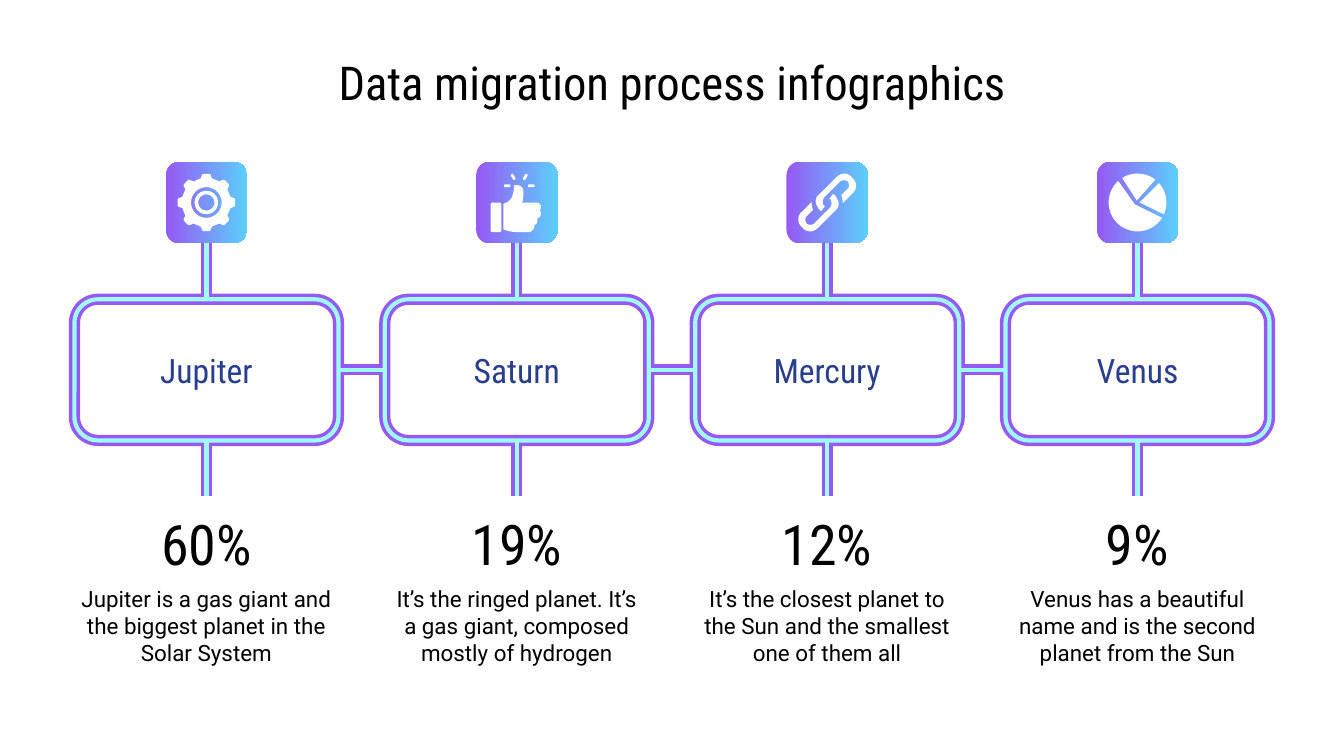
from math import cos, radians, sin

from lxml import etree
from pptx import Presentation
from pptx.dml.color import RGBColor
from pptx.enum.shapes import MSO_CONNECTOR, MSO_SHAPE
from pptx.enum.text import MSO_ANCHOR, PP_ALIGN
from pptx.oxml.ns import qn
from pptx.util import Inches, Pt

ROUNDED, STRAIGHT = MSO_SHAPE.ROUNDED_RECTANGLE, MSO_CONNECTOR.STRAIGHT
TOP, MIDDLE, CENTER = MSO_ANCHOR.TOP, MSO_ANCHOR.MIDDLE, PP_ALIGN.CENTER

COLUMNS, ROWS = 100, 56.25
WHITE, BLACK, NAVY = "FFFFFF", "000000", "293E8D"
PURPLE, MINT, SKY = "9659F4", "A0FDF1", "5CCFFB"
OUTER, INNER = TRACKS = ((PURPLE, 6), (MINT, 2.25))
HEADING, BODY = "Roboto Condensed", "Roboto"

STEPS = (
    ("Jupiter", "60%", "Jupiter is a gas giant and the biggest planet in the Solar System"),
    ("Saturn", "19%", "It’s the ringed planet. It’s a gas giant, composed mostly of hydrogen"),
    ("Mercury", "12%", "It’s the closest planet to the Sun and the smallest one of them all"),
    ("Venus", "9%", "Venus has a beautiful name and is the second planet from the Sun"),
)
FIRST, LAST = 15.36, 84.64
PITCH = (LAST - FIRST) / (len(STEPS) - 1)
CENTERS = [FIRST + i * PITCH for i in range(len(STEPS))]
BOX_W, BOX_TOP, BOX_H = 19.64, 22.27, 10.5
TILE, TILE_TOP = 6.06, 12.04
TILE_MID, TILE_END = TILE_TOP + TILE / 2, TILE_TOP + TILE
BOX_MID, BOX_END, STEM_END = BOX_TOP + BOX_H / 2, BOX_TOP + BOX_H, 36.94

# Icon outlines in tenths of a cell from the tile centre:
# a pair is a corner, six numbers are a cubic curve.
THUMB = (
    (-1, -13), (-2, -13, -2, -12, -2, -12), (-2, -9, -3, -4, -5, -2),
    (-7, 0, -8, 0, -10, 1), (-10, 20), (-7, 21, -4, 22, 1, 22), (9, 22),
    (11, 22, 14, 19, 13, 17), (15, 16, 16, 14, 15, 12), (18, 11, 19, 8, 17, 6),
    (18, 5, 18, 4, 18, 3), (18, 1, 16, 0, 14, 0), (4, 0),
    (5, -2, 5, -6, 5, -8), (5, -11, 3, -13, 0, -13),
)
LINK = (
    (4.5, -6.5), (1.5, -2.5), (2.5, -2.5), (3.5, -0.5, 3.5, 1.5, 2.5, 3.5),
    (-9.5, 15.5), (-10.5, 16.5, -11.5, 16.5, -12.5, 16.5),
    (-13.5, 16.5, -14.5, 16.5, -15.5, 15.5), (-16.5, 13.5, -16.5, 11.5, -15.5, 10.5),
    (-10.5, 5.5), (-11.5, 3.5, -11.5, 1.5, -11.5, -0.5), (-18.5, 6.5),
    (-22.5, 9.5, -22.5, 15.5, -18.5, 18.5), (-17.5, 20.5, -14.5, 21.5, -12.5, 21.5),
    (-10.5, 21.5, -8.5, 20.5, -6.5, 18.5), (5.5, 6.5),
    (8.5, 4.5, 9.5, 0.5, 7.5, -2.5), (6.5, -4.5),
)
TOOTH = ((-13, 18.4), (-9, 20.8), (-6, 21.5), (6, 21.5), (9, 20.8), (13, 18.4))
SLICES = ((-2, 1.5, 32, 228), (-0.5, -1.5, 238, 308), (1.5, 0, 318, 384))


def rgb(value):
    return RGBColor.from_string(value)


def polar(angle, radius):
    return radius * cos(radians(angle)), radius * sin(radians(angle))


def arc(radius, start=0, end=360):
    steps = 40
    return [polar(start + (end - start) * i / steps, radius) for i in range(steps + 1)]


def flatten(path, steps=8):
    """Turn corners and cubic curves into a plain list of points."""
    points = []
    for part in path:
        if len(part) == 2:
            points.append(part)
            continue
        curve = (points[-1], part[:2], part[2:4], part[4:])
        for i in range(1, steps + 1):
            t = i / steps
            weights = ((1 - t) ** 3, 3 * t * (1 - t) ** 2, 3 * t * t * (1 - t), t ** 3)
            points.append(tuple(sum(w * p[axis] for w, p in zip(weights, curve))
                                for axis in (0, 1)))
    return points


class Board:
    """Draws on one slide; lengths are cells of a COLUMNS by ROWS grid."""

    def __init__(self, prs):
        self.slide = prs.slides.add_slide(prs.slide_layouts[6])
        self.shapes = self.slide.shapes
        self.cell_w = prs.slide_width / COLUMNS
        self.cell_h = prs.slide_height / ROWS

    def at(self, x, y):
        return round(x * self.cell_w), round(y * self.cell_h)

    def paint(self, s, fill=None, line=None):
        s.shadow.inherit = False
        if fill:
            s.fill.solid()
            s.fill.fore_color.rgb = rgb(fill)
        else:
            s.fill.background()
        if line:
            s.line.color.rgb, s.line.width = rgb(line[0]), Pt(line[1])
        else:
            s.line.fill.background()

    def rounded(self, cx, y, w, h, fill=None, line=None):
        s = self.shapes.add_shape(ROUNDED, *self.at(cx - w / 2, y), *self.at(w, h))
        self.paint(s, fill, line)
        return s

    def tile(self, cx):
        s = self.rounded(cx, TILE_TOP, TILE, TILE)
        s.fill.gradient()
        s.fill.gradient_angle = 0
        for stop, color in zip(s.fill.gradient_stops, (PURPLE, SKY)):
            stop.color.rgb = rgb(color)

    def track(self, start, end, color, width):
        s = self.shapes.add_connector(STRAIGHT, *self.at(*start), *self.at(*end))
        s.line.color.rgb, s.line.width = rgb(color), Pt(width)
        etree.SubElement(s._element.spPr, qn("a:effectLst"))

    def tracks(self, style):
        """Draw every stem and every link between boxes in one line style."""
        for cx in CENTERS:
            for top, end in ((TILE_END, BOX_TOP), (BOX_END, STEM_END)):
                self.track((cx, top), (cx, end), *style)
        for left, right in zip(CENTERS, CENTERS[1:]):
            self.track((right - BOX_W / 2, BOX_MID), (left + BOX_W / 2, BOX_MID), *style)

    def text(self, text, cx, y, w, h, size, font=HEADING, color=BLACK, anchor=TOP):
        tf = self.shapes.add_textbox(*self.at(cx - w / 2, y), *self.at(w, h)).text_frame
        frame = {"word_wrap": True, "vertical_anchor": anchor}
        frame.update({f"margin_{side}": Inches(0.1)
                      for side in ("left", "top", "right", "bottom")})
        for name, value in frame.items():
            setattr(tf, name, value)
        p = tf.paragraphs[0]
        p.alignment = CENTER
        r = p.add_run()
        r.text = text
        for name, value in {"name": font, "size": Pt(size)}.items():
            setattr(r.font, name, value)
        r.font.color.rgb = rgb(color)

    def icon(self, cx, *outlines):
        """Draw one white outline; further outlines cut holes in it."""
        builder = None
        for outline in outlines:
            points = [self.at(cx + x / 10, TILE_MID + y / 10) for x, y in outline]
            if builder is None:
                builder = self.shapes.build_freeform(*points[0])
            else:
                builder.move_to(*points[0])
            builder.add_line_segments(points[1:], close=True)
        self.paint(builder.convert_to_shape(), WHITE)

    def gear(self, cx):
        teeth = [polar(turn + angle, radius)
                 for turn in range(0, 360, 45) for angle, radius in TOOTH]
        self.icon(cx, teeth, arc(11.4))
        self.icon(cx, arc(8.7), arc(6))

    def thumb(self, cx):
        self.icon(cx, flatten(THUMB))
        self.rounded(cx - 1.55, TILE_MID, 0.8, 2.2, WHITE)
        for side in (-1, 1):
            for dx, dy, turn in ((0.9, -1.25, 0), (0.45, -1.9, -60)):
                s = self.rounded(cx + 0.18 + side * dx, TILE_MID + dy - 0.1, 0.5, 0.2, WHITE)
                s.adjustments[0] = 0.5
                s.rotation = side * turn

    def chain(self, cx):
        link = flatten(LINK)
        self.icon(cx, link)
        self.icon(cx, [(-x, -y) for x, y in link])

    def pie(self, cx):
        for x, y, start, end in SLICES:
            self.icon(cx, [(x, y)] + arc(21.5, start, end))


def main():
    prs = Presentation()
    prs.slide_width, prs.slide_height = Inches(10), Inches(5.625)
    board = Board(prs)
    board.tracks(OUTER)
    board.text("Data migration process infographics", 50, 3.3, 88.7, 5.6, 25, anchor=MIDDLE)

    for cx, (name, share, note) in zip(CENTERS, STEPS):
        for fill, line in zip((WHITE, None), TRACKS):
            board.rounded(cx, BOX_TOP, BOX_W, BOX_H, fill, line)
        board.text(name, cx, 26.1, 16.9, 2.8, 18, color=NAVY, anchor=MIDDLE)
        board.text(share, cx, 36.9, 20.7, 5.6, 30)
        board.text(note, cx, 42.55, 20.7, 7.5, 12, BODY)

    board.tracks(INNER)
    for cx, draw in zip(CENTERS, (board.gear, board.thumb, board.chain, board.pie)):
        board.tile(cx)
        draw(cx)
    prs.save("out.pptx")


if __name__ == "__main__":
    main()
